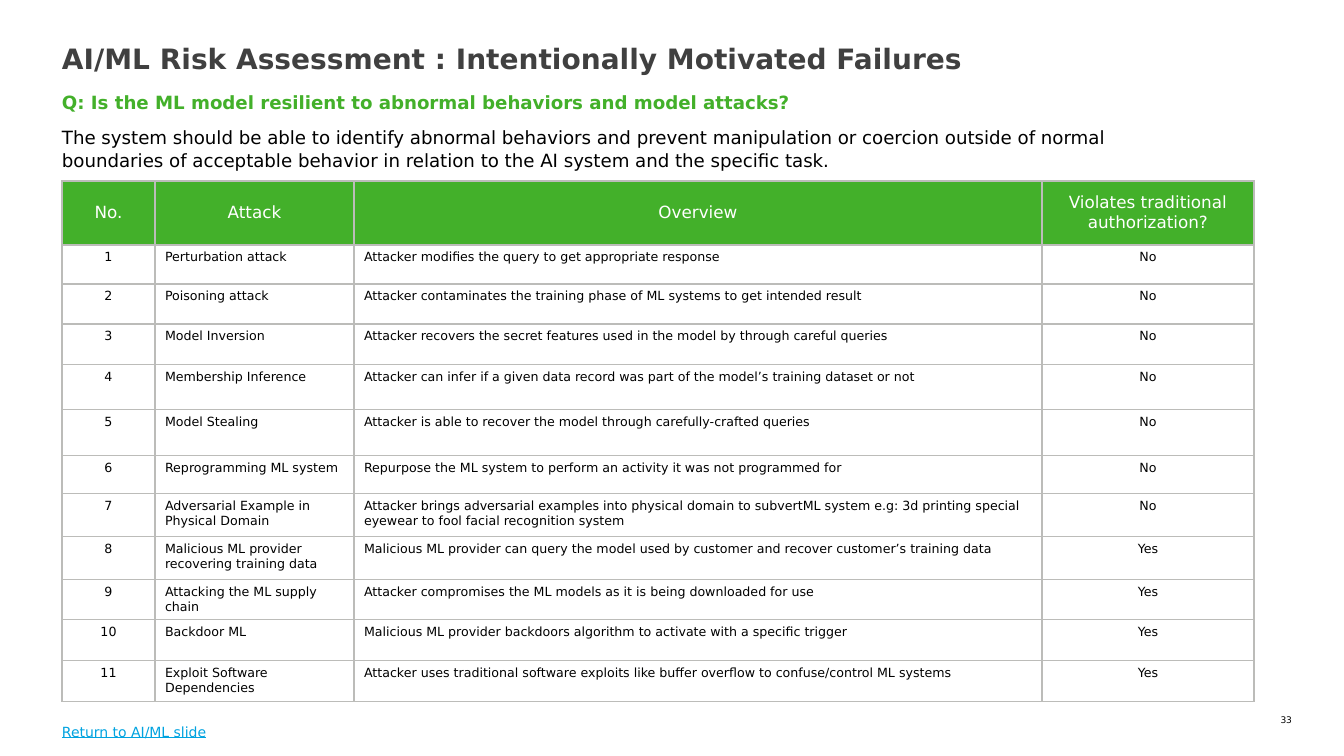
"""Build the AI/ML risk assessment slide with its table of attacks."""
from lxml.etree import SubElement
from pptx import Presentation
from pptx.dml.color import RGBColor
from pptx.enum.text import MSO_ANCHOR, PP_ALIGN
from pptx.oxml import parse_xml
from pptx.oxml.ns import nsdecls
from pptx.util import Pt

TITLE = "AI/ML Risk Assessment : Intentionally Motivated Failures"
QUESTION = "Q: Is the ML model resilient to abnormal behaviors and model attacks?"
ANSWER = ("The system should be able to identify abnormal behaviors and prevent manipulation or coercion "
          "outside of normal boundaries of acceptable behavior in relation to the AI system and the specific task.")
LINK = "Return to AI/ML slide"
PAGE = "33"
HEADER = ("No.", "Attack", "Overview", "Violates traditional authorization?")
ATTACKS = [
    ("Perturbation attack", "Attacker modifies the query to get appropriate response", "No"),
    ("Poisoning attack", "Attacker contaminates the training phase of ML systems to get intended result", "No"),
    ("Model Inversion", "Attacker recovers the secret features used in the model by through careful queries", "No"),
    ("Membership Inference",
     "Attacker can infer if a given data record was part of the model’s training dataset or not", "No"),
    ("Model Stealing", "Attacker is able to recover the model through carefully-crafted queries", "No"),
    ("Reprogramming ML system", "Repurpose the ML system to perform an activity it was not programmed for", "No"),
    ("Adversarial Example in Physical Domain",
     "Attacker brings adversarial examples into physical domain to subvertML system e.g: "
     "3d printing special eyewear to fool facial recognition system", "No"),
    ("Malicious ML provider recovering training data",
     "Malicious ML provider can query the model used by customer and recover customer’s training data", "Yes"),
    ("Attacking the ML supply chain", "Attacker compromises the ML models as it is being downloaded for use", "Yes"),
    ("Backdoor ML", "Malicious ML provider backdoors algorithm to activate with a specific trigger", "Yes"),
    ("Exploit Software Dependencies",
     "Attacker uses traditional software exploits like buffer overflow to confuse/control ML systems", "Yes"),
]
COLUMN_WIDTHS = (93, 199, 688, 212)
ROW_HEIGHTS = (64, 39, 40, 41, 45, 46, 38, 43, 43, 40, 41, 41)
CENTERED_COLUMNS = (0, 3)

FONT = "DejaVu Sans"
COLORS = {"title": "404040", "green": "43B02A", "text": "000000",
          "white": "FFFFFF", "link": "00A3E0", "border": "BCBCB9"}
PX = 914400 / 100.8


def px(value):
    return round(value * PX)


def place(s, left, top, width, height):
    s.left, s.top, s.width, s.height = map(px, (left, top, width, height))


def write(p, text, size, color, paragraph=None, **font):
    for name, value in (paragraph or {}).items():
        setattr(p, name, value)
    r = p.add_run()
    r.text = text
    for name, value in {"name": FONT, "size": Pt(size), "bold": False, **font}.items():
        setattr(r.font, name, value)
    r.font.color.rgb = RGBColor.from_string(COLORS[color])


def set_frame(tf, anchor, margin_x=10, margin_y=5):
    tf.word_wrap = True
    tf.vertical_anchor = anchor
    tf.margin_left = tf.margin_right = px(margin_x)
    tf.margin_top = tf.margin_bottom = px(margin_y)


def add_text(slide, box, anchor=MSO_ANCHOR.TOP, margin_x=10, margin_y=5):
    s = slide.shapes.add_textbox(0, 0, 0, 0)
    place(s, *box)
    set_frame(s.text_frame, anchor, margin_x, margin_y)
    return s.text_frame


def set_borders(cell):
    tc_pr = cell._tc.get_or_add_tcPr()
    for index, side in enumerate(("lnL", "lnR", "lnT", "lnB")):
        line = parse_xml(f'<a:{side} {nsdecls("a")} w="12700"><a:solidFill/></a:{side}>')
        SubElement(line[0], line[0].tag.replace("solidFill", "srgbClr"), val=COLORS["border"])
        tc_pr.insert(index, line)


def add_attack_table(slide):
    rows = [HEADER] + [(str(n), *attack) for n, attack in enumerate(ATTACKS, 1)]
    table = slide.shapes.add_table(len(rows), len(HEADER), px(62), px(181),
                                   px(sum(COLUMN_WIDTHS)), px(sum(ROW_HEIGHTS))).table
    table.horz_banding = False
    for column, width in zip(table.columns, COLUMN_WIDTHS):
        column.width = px(width)
    for i, (row, height) in enumerate(zip(rows, ROW_HEIGHTS)):
        table.rows[i].height = px(height)
        header = i == 0
        for j, text in enumerate(row):
            cell = table.cell(i, j)
            cell.vertical_anchor = MSO_ANCHOR.MIDDLE if header else MSO_ANCHOR.TOP
            if header:
                cell.fill.solid()
                cell.fill.fore_color.rgb = RGBColor.from_string(COLORS["green"])
            else:
                cell.fill.background()
            set_borders(cell)
            centered = header or j in CENTERED_COLUMNS
            write(cell.text_frame.paragraphs[0], text, 12 if header else 9,
                  "white" if header else "text",
                  {"alignment": PP_ALIGN.CENTER if centered else PP_ALIGN.LEFT})


def main():
    prs = Presentation()
    prs.slide_width, prs.slide_height = px(1344), px(756)
    slide = prs.slides.add_slide(prs.slide_layouts[5])

    title = slide.shapes.title
    place(title, 52, 36, 1241, 45)
    set_frame(title.text_frame, MSO_ANCHOR.BOTTOM)
    write(title.text_frame.paragraphs[0], TITLE, 20, "title",
          {"alignment": PP_ALIGN.LEFT, "line_spacing": 0.9}, bold=True)

    add_attack_table(slide)

    spacing = {"line_spacing": 1.07, "space_after": Pt(8)}
    tf = add_text(slide, (52, 85, 1159, 92))
    write(tf.paragraphs[0], QUESTION, 13, "green", spacing, bold=True)
    write(tf.add_paragraph(), ANSWER, 13, "text", spacing)

    tf = add_text(slide, (52, 722, 203, 18), MSO_ANCHOR.MIDDLE, 10, 10)
    write(tf.paragraphs[0], LINK, 10, "link", {"line_spacing": 1.06}, underline=True)

    tf = add_text(slide, (1258, 714, 34, 11), margin_x=0, margin_y=0)
    write(tf.paragraphs[0], PAGE, 6.5, "text", {"alignment": PP_ALIGN.RIGHT})

    prs.save("out.pptx")


if __name__ == "__main__":
    main()
